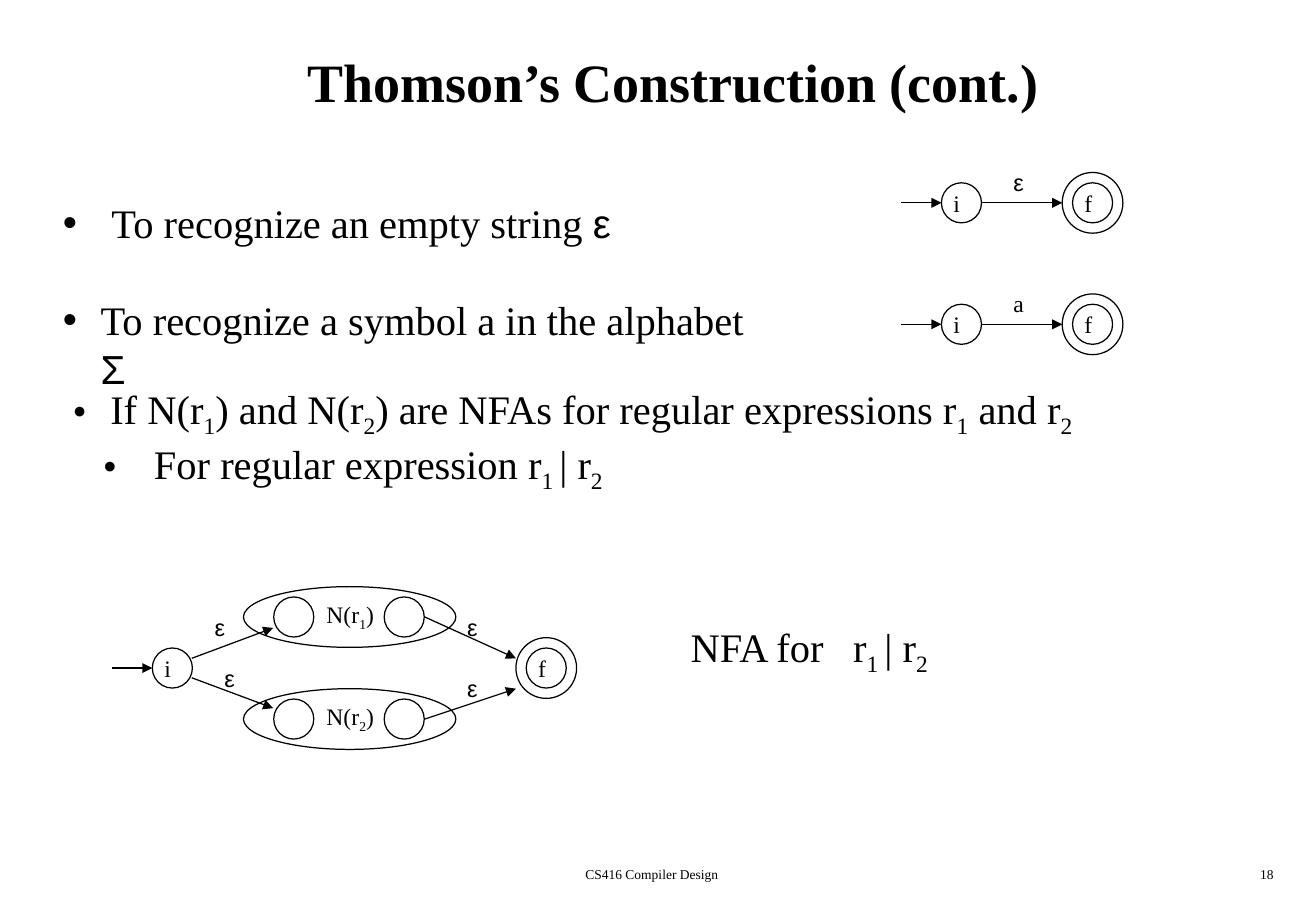
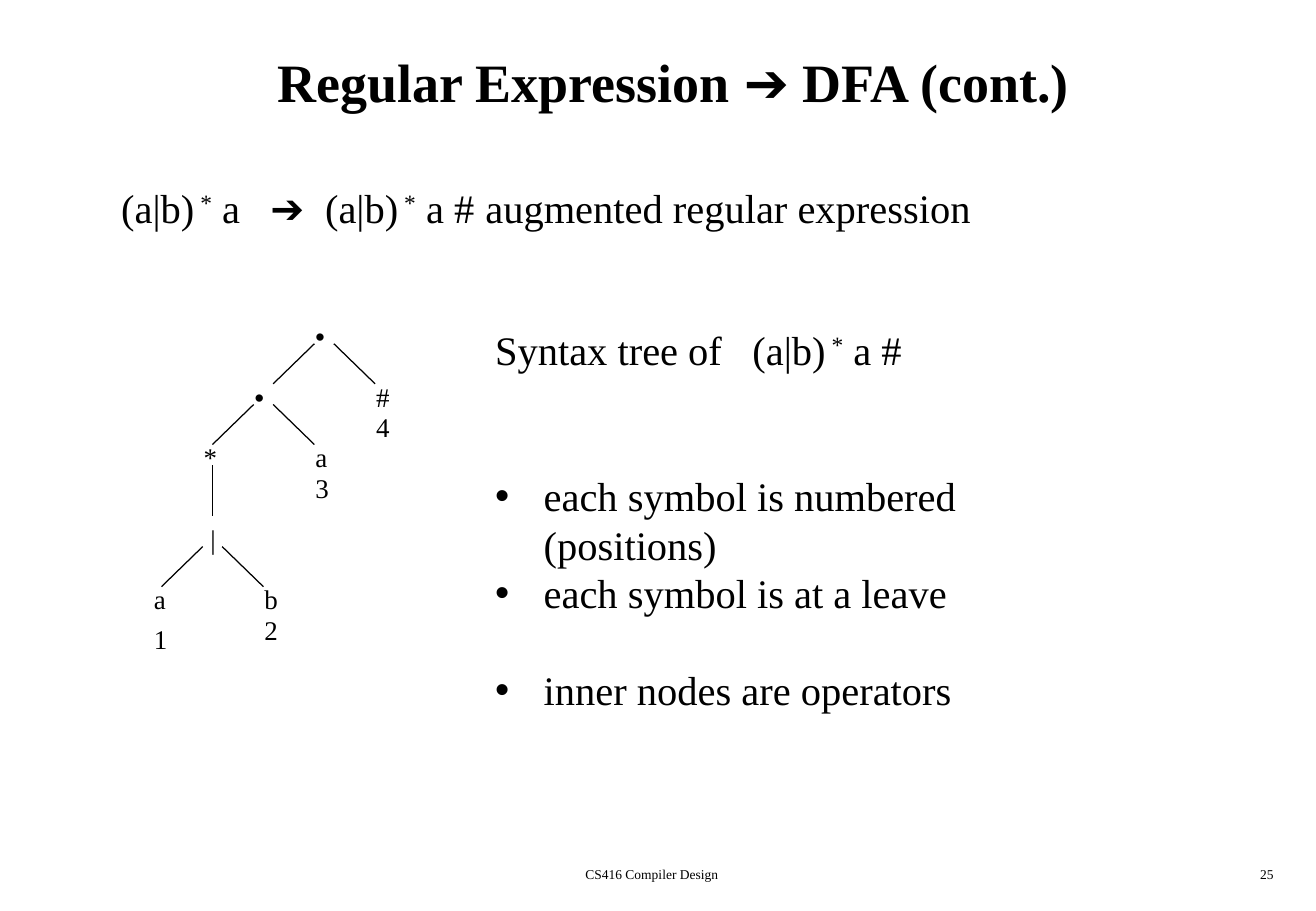
"""Build two compiler-design slides: Thomson's construction and a syntax tree."""
from dataclasses import dataclass
from typing import NamedTuple

from lxml import etree
from pptx import Presentation
from pptx.dml.color import RGBColor
from pptx.enum.shapes import MSO_CONNECTOR, MSO_SHAPE
from pptx.enum.text import MSO_ANCHOR, PP_ALIGN
from pptx.oxml.ns import qn
from pptx.slide import Slide
from pptx.util import Inches, Pt

STRAIGHT = MSO_CONNECTOR.STRAIGHT
OVAL = MSO_SHAPE.OVAL
LEFT, CENTER, RIGHT = PP_ALIGN.LEFT, PP_ALIGN.CENTER, PP_ALIGN.RIGHT
TOP, MIDDLE = MSO_ANCHOR.TOP, MSO_ANCHOR.MIDDLE

COLORS = {"ink": "000000"}
INK = RGBColor.from_string(COLORS["ink"])
SERIF, SANS = "Times New Roman", "Arial"
FRAME_FORMAT = {
    "word_wrap": True,
    "margin_left": Inches(0.1),
    "margin_right": Inches(0.1),
    "margin_top": Inches(0.05),
    "margin_bottom": Inches(0.05),
}
LEADING = 1.2
TITLE_SIZE, BODY_SIZE, NODE_SIZE, LABEL_SIZE, FOOTER_SIZE = 32, 24, 16, 14, 8
BODY_LINE = BODY_SIZE * LEADING
STATE, ACCEPT = 0.33, 0.5
SUB, SUPER = -25, 30


class Run(NamedTuple):
    """A stretch of text with its baseline shift in percent and its font."""

    text: str
    shift: int = 0
    font: str = SERIF


@dataclass(frozen=True)
class Para:
    """A paragraph; a bullet font makes it a bullet with a hanging indent."""

    runs: tuple[Run, ...]
    bullet_font: str = ""
    margin: float = 0
    hang: float = 0
    before: float = 0
    tabs: tuple[float, ...] = ()


class Box(NamedTuple):
    """Left, top, width and height in inches."""

    left: float
    top: float
    width: float
    height: float


class Segment(NamedTuple):
    """A line between two points in inches."""

    x1: float
    y1: float
    x2: float
    y2: float


class Label(NamedTuple):
    """A short text at a place in inches."""

    left: float
    top: float
    text: str
    font: str = SERIF


def indexed(name: str, index: str) -> tuple[Run, Run]:
    """Return a text followed by its subscript."""
    return Run(name), Run(index, SUB)


def starred(lead: str, rest: str) -> tuple[Run, ...]:
    """Return the starred group (a|b) with the text around it."""
    return Run(f"{lead}(a|b)"), Run(" *", SUPER), Run(rest)


def format_paragraph(paragraph, para: Para, size: float) -> None:
    """Set the bullet, tabs and spacing of a paragraph."""
    properties = paragraph._p.get_or_add_pPr()
    if para.bullet_font:
        properties.set("marL", str(Inches(para.margin)))
        properties.set("indent", str(-Inches(para.hang)))
        etree.SubElement(properties, qn("a:buFont"), typeface=para.bullet_font)
        etree.SubElement(properties, qn("a:buChar"), char="•")
    if para.tabs:
        stops = etree.SubElement(properties, qn("a:tabLst"))
        for stop in para.tabs:
            etree.SubElement(stops, qn("a:tab"), pos=str(Inches(stop)), algn="l")
    paragraph.line_spacing = Pt(size * LEADING)
    if para.before:
        paragraph.space_before = Pt(para.before)


def add_text(slide: Slide, box: Box, paras: list[Para], size: float,
             align: PP_ALIGN = LEFT, anchor: MSO_ANCHOR = TOP,
             bold: bool = False) -> None:
    """Add a text box holding the given paragraphs."""
    frame = slide.shapes.add_textbox(*map(Inches, box)).text_frame
    for attribute, value in FRAME_FORMAT.items():
        setattr(frame, attribute, value)
    frame.vertical_anchor = anchor
    for number, para in enumerate(paras):
        paragraph = frame.add_paragraph() if number else frame.paragraphs[0]
        format_paragraph(paragraph, para, size)
        paragraph.alignment = align
        for part in para.runs:
            run = paragraph.add_run()
            run.text = part.text
            font_format = {"name": part.font, "size": Pt(size), "bold": bold}
            for attribute, value in font_format.items():
                setattr(run.font, attribute, value)
            run.font.color.rgb = INK
            if part.shift:
                run._r.get_or_add_rPr().set("baseline", str(part.shift * 1000))


def add_labels(slide: Slide, labels: list[Label], size: float) -> None:
    """Add short one-line labels."""
    for label in labels:
        para = Para((Run(label.text, font=label.font),))
        add_text(slide, Box(label.left, label.top, 0.33, 0.37), [para], size)


def add_ellipse(slide: Slide, x: float, y: float, width: float,
                height: float) -> None:
    """Outline an ellipse around a centre."""
    corner = Box(x - width / 2, y - height / 2, width, height)
    ellipse = slide.shapes.add_shape(OVAL, *map(Inches, corner))
    ellipse.shadow.inherit = False
    ellipse.fill.background()
    ellipse.line.color.rgb = INK
    ellipse.line.width = Pt(0.75)


def add_lines(slide: Slide, segments: list[Segment], arrow: bool = False) -> None:
    """Draw thin lines, with an arrowhead at the far end if asked."""
    for segment in segments:
        connector = slide.shapes.add_connector(STRAIGHT, *map(Inches, segment))
        connector.line.color.rgb = INK
        connector.line.width = Pt(0.75)
        if arrow:
            etree.SubElement(connector.line._get_or_add_ln(),
                             qn("a:tailEnd"), type="triangle")
        etree.SubElement(connector._element.spPr, qn("a:effectLst"))


def add_state(slide: Slide, x: float, y: float, name: str = "",
              accepting: bool = False) -> None:
    """Draw an automaton state around a centre."""
    for diameter in (ACCEPT, STATE) if accepting else (STATE,):
        add_ellipse(slide, x, y, diameter, diameter)
    if name:
        add_labels(slide, [Label(x - STATE / 2, y - STATE / 2, name)], LABEL_SIZE)


def add_end_states(slide: Slide, start_x: float, final_x: float, y: float) -> None:
    """Draw the start state with its entry arrow and the final state."""
    add_state(slide, start_x, y, "i")
    add_state(slide, final_x, y, "f", accepting=True)
    edge = start_x - STATE / 2
    add_lines(slide, [Segment(edge - 0.33, y, edge, y)], arrow=True)


def add_basic_nfa(slide: Slide, y: float, symbol: Label) -> None:
    """Draw the automaton that accepts one symbol."""
    start_x, final_x = 7.92, 9
    add_end_states(slide, start_x, final_x, y)
    move = Segment(start_x + STATE / 2, y, final_x - ACCEPT / 2, y)
    add_lines(slide, [move], arrow=True)
    add_labels(slide, [symbol], LABEL_SIZE)


def add_union_nfa(slide: Slide) -> None:
    """Draw the automaton for the union of two expressions."""
    add_end_states(slide, 1.42, 4.5, 5.5)
    for index, y in (("1", 5.08), ("2", 5.92)):
        add_ellipse(slide, 2.88, y, 1.75, 0.5)
        for x in (2.42, 3.33):
            add_state(slide, x, y)
        name = Para((*indexed("N(r", index), Run(")")))
        add_text(slide, Box(2.59, y - 0.16, 0.65, 0.37), [name], LABEL_SIZE)
    add_lines(slide, [
        Segment(1.58, 5.42, 2.25, 5.17),
        Segment(1.58, 5.58, 2.25, 5.83),
        Segment(3.5, 5.08, 4.25, 5.42),
        Segment(3.5, 5.92, 4.25, 5.67),
    ], arrow=True)
    places = [(1.67, 5), (3.75, 5), (3.75, 5.5), (1.75, 5.42)]
    add_labels(slide, [Label(x, y, "ε", SANS) for x, y in places], LABEL_SIZE)


def add_slide(deck, title: tuple[Run, ...], number: int) -> Slide:
    """Add a blank slide with the shared title and footer."""
    slide = deck.slides.add_slide(deck.slide_layouts[6])
    add_text(slide, Box(0.42, 0.17, 10.25, 1), [Para(title)], TITLE_SIZE,
             CENTER, MIDDLE, bold=True)
    footer = [(Box(3.34, 7.08, 4.06, 0.25), "CS416 Compiler Design", CENTER),
              (Box(8.33, 7.08, 2.26, 0.25), str(number), RIGHT)]
    for box, text, align in footer:
        add_text(slide, box, [Para((Run(text),))], FOOTER_SIZE, align)
    return slide


def build_construction(deck) -> None:
    """Build the slide on Thomson's construction."""
    slide = add_slide(deck, (Run("Thomson’s Construction (cont.)"),), 18)
    add_text(slide, Box(0.42, 1.58, 6, 1.7), [
        Para((Run("To recognize an empty string "), Run("ε", font=SANS)),
             SANS, 0.4, 0.4),
        Para((Run("To recognize a symbol a in the alphabet "),
              Run("Σ", font=SANS)), SANS, 0.31, 0.31, BODY_LINE),
    ], BODY_SIZE)
    union = (*indexed("r", "1 "), *indexed("| r", "2"))
    add_text(slide, Box(0.5, 3.17, 8.49, 1.01), [
        Para((*indexed("If N(r", "1"), *indexed(") and N(r", "2"),
              *indexed(") are NFAs for regular expressions r", "1"),
              *indexed(" and r", "2")), SERIF, 0.31, 0.31),
        Para((Run("For regular expression "), *union),
             SERIF, 0.67, 0.42, 3.8),
    ], BODY_SIZE)
    add_basic_nfa(slide, 1.67, Label(8.25, 1.33, "ε", SANS))
    add_basic_nfa(slide, 2.67, Label(8.25, 2.33, "a"))
    add_union_nfa(slide)
    caption = Para((Run("NFA for\t"), *union), tabs=(1.34,))
    add_text(slide, Box(5.59, 5.13, 2.3, 0.56), [caption], BODY_SIZE)


def build_syntax_tree(deck) -> None:
    """Build the slide on the syntax tree of an expression."""
    arrow = Run("➔", font=SANS)
    title = (Run("Regular Expression "), arrow, Run(" DFA (cont.)"))
    slide = add_slide(deck, title, 25)
    augmented = Para((*starred("", " a\t"), arrow,
                      *starred("\t", " a #\taugmented regular expression")),
                     tabs=(1.23, 1.68, 3))
    add_text(slide, Box(0.9, 1.46, 7.4, 0.5), [augmented], BODY_SIZE)

    for x, y in ((2.67, 2.83), (2.17, 3.33), (1.75, 4.5)):
        add_lines(slide, [Segment(x + side * 0.08, y, x + side * 0.42, y + 0.33)
                          for side in (-1, 1)])
    add_lines(slide, [Segment(1.75, 3.83, 1.75, 4.25)])
    add_labels(slide, [
        Label(2.5, 2.58, "•", SANS), Label(2, 3.08, "•", SANS),
        Label(1.58, 3.58, "*"), Label(1.58, 4.25, " |"),
        Label(3, 3.08, "#"), Label(3, 3.33, "4"),
        Label(2.5, 3.58, "a"), Label(2.5, 3.83, "3"),
        Label(1.17, 4.75, "a"), Label(1.17, 5.08, "1"),
        Label(2.08, 4.75, "b"), Label(2.08, 5, "2"),
    ], NODE_SIZE)

    facts = [("each symbol is numbered (positions)", 2),
             ("each symbol is at a leave", 0),
             ("inner nodes are operators", 1)]
    add_text(slide, Box(3.98, 2.63, 5.39, 3.3), [
        Para(starred("Syntax tree of\t", " a #"), tabs=(2.12,)),
        *(Para((Run(text),), SANS, 0.4, 0.4, gap * BODY_LINE)
          for text, gap in facts),
    ], BODY_SIZE)


def main() -> None:
    """Build and save the deck."""
    deck = Presentation()
    deck.slide_width, deck.slide_height = Inches(10.84), Inches(7.5)
    build_construction(deck)
    build_syntax_tree(deck)
    deck.save("out.pptx")


if __name__ == "__main__":
    main()
